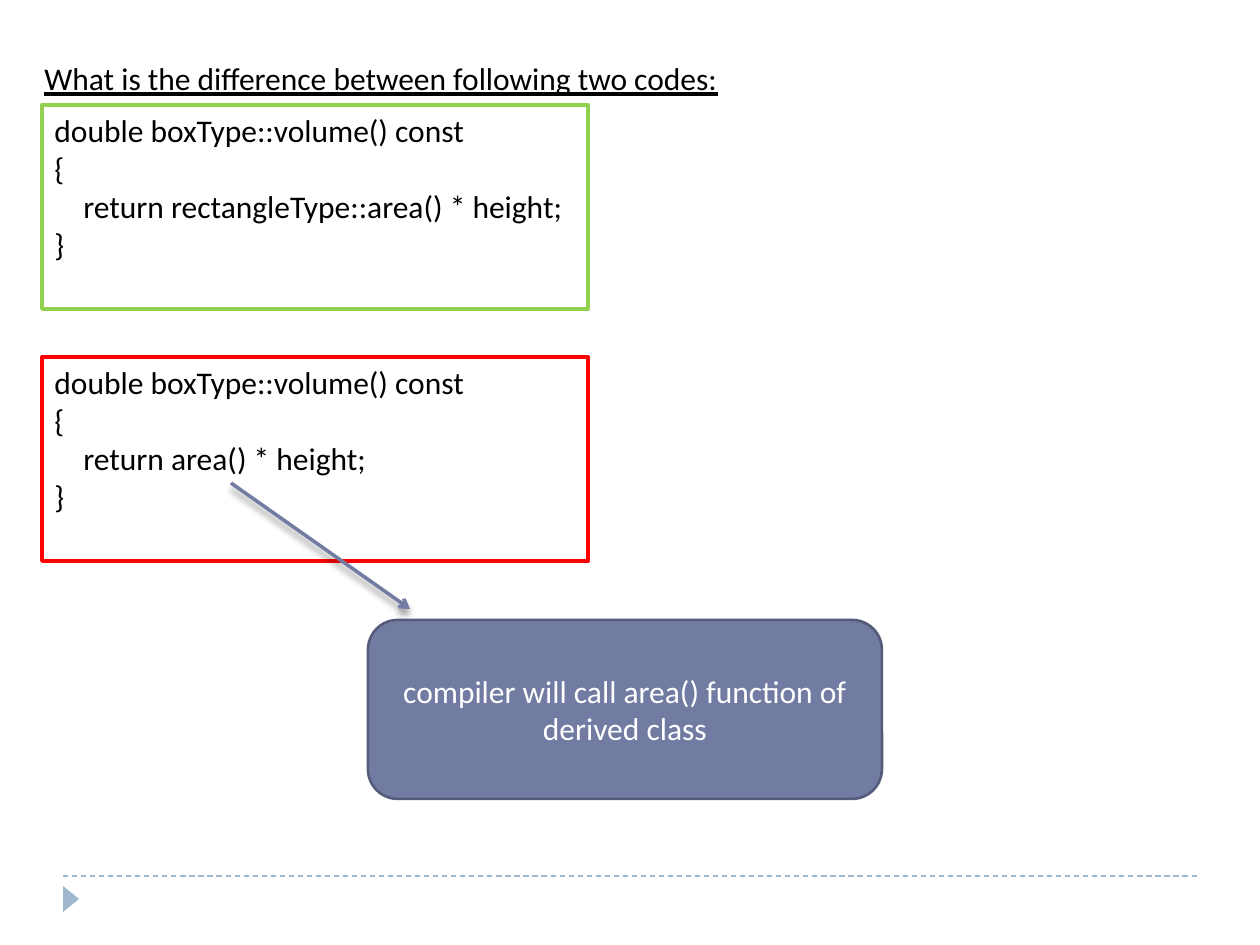
from dataclasses import dataclass

from lxml.etree import SubElement
from pptx import Presentation
from pptx.dml.color import RGBColor
from pptx.enum.dml import MSO_LINE
from pptx.enum.shapes import MSO_CONNECTOR, MSO_SHAPE
from pptx.enum.text import MSO_ANCHOR, PP_ALIGN
from pptx.oxml.ns import qn
from pptx.util import Emu, Pt

INDENT = 29
HEX = {
    "black": "000000",
    "white": "FFFFFF",
    "green": "92D050",
    "red": "FF0000",
    "slate": "727CA3",
    "edge": "545C79",
    "mist": "9FB8CD",
}


@dataclass
class Box:
    left: int
    top: int
    width: int
    height: int


@dataclass
class Code:
    top: int
    line: str
    result: str


CODES = [
    Code(357, "red", "return area() * height;"),
    Code(105, "green", "return rectangleType::area() * height;"),
]


def px(count: int) -> Emu:
    return Emu(round(count * 914400 / 126))


def color(name: str) -> RGBColor:
    return RGBColor.from_string(HEX[name])


def place(box: Box) -> list[Emu]:
    return [px(n) for n in (box.left, box.top, box.width, box.height)]


def add_run(para, text: str, tint: str = "black", under: bool = False) -> None:
    run = para.add_run()
    run.text = text
    font = run.font
    font.name, font.size = "Calibri", Pt(18)
    font.color.rgb = color(tint)
    if under:
        font.underline = True


def add_form(slide, kind, box: Box, fill: str = "", line: str = "",
             weight: float = 0):
    """Add a preset shape; an empty fill or line name means none."""
    form = slide.shapes.add_shape(kind, *place(box))
    form.shadow.inherit = False
    if fill:
        form.fill.solid()
        form.fill.fore_color.rgb = color(fill)
    else:
        form.fill.background()
    if line:
        form.line.color.rgb = color(line)
        form.line.width = Pt(weight)
    else:
        form.line.fill.background()
    form.text_frame.word_wrap = True
    return form


def add_line(slide, start: tuple[int, int], end: tuple[int, int],
             tint: str, weight: float):
    """Add a straight line and return it with its empty effect list."""
    ends = [px(n) for n in (*start, *end)]
    line = slide.shapes.add_connector(MSO_CONNECTOR.STRAIGHT, *ends)
    line.line.color.rgb = color(tint)
    line.line.width = Pt(weight)
    return line, SubElement(line._element.spPr, qn("a:effectLst"))


def add_footer(slide) -> None:
    rule, _ = add_line(slide, (63, 876), (1197, 876), "mist", 0.75)
    rule.line.dash_style = MSO_LINE.DASH
    mark = add_form(slide, MSO_SHAPE.ISOSCELES_TRIANGLE,
                    Box(58, 891, 26, 16), "mist")
    mark.rotation = 90


def add_code(slide, code: Code) -> None:
    form = add_form(slide, MSO_SHAPE.RECTANGLE, Box(42, code.top, 546, 204),
                    line=code.line, weight=2.25)
    frame = form.text_frame
    frame.vertical_anchor = MSO_ANCHOR.TOP
    rows = ["double boxType::volume() const", "{", code.result, "}"]
    for row, text in enumerate(rows):
        para = frame.paragraphs[0] if row == 0 else frame.add_paragraph()
        para.alignment = PP_ALIGN.LEFT
        if text == code.result:
            para._p.get_or_add_pPr().set("marL", str(px(INDENT)))
        add_run(para, text)


def add_title(slide) -> None:
    frame = slide.shapes.add_textbox(*place(Box(32, 53, 1113, 50))).text_frame
    frame.word_wrap = True
    add_run(frame.paragraphs[0],
            "What is the difference between following two codes:", under=True)


def add_arrow(slide) -> None:
    arrow, effect = add_line(slide, (231, 483), (410, 609), "slate", 2)
    SubElement(arrow.line._get_or_add_ln(), qn("a:tailEnd"), type="arrow")
    shade = SubElement(effect, qn("a:outerShdw"), blurRad=str(Pt(4)),
                       dist=str(Pt(3.4)), dir="5400000", rotWithShape="0")
    tint = SubElement(shade, qn("a:srgbClr"), val=HEX["black"])
    SubElement(tint, qn("a:alpha"), val="40000")


def add_note(slide) -> None:
    note = add_form(slide, MSO_SHAPE.FLOWCHART_ALTERNATE_PROCESS,
                    Box(368, 620, 514, 179), "slate", "edge", 1.5)
    note.text_frame.vertical_anchor = MSO_ANCHOR.MIDDLE
    para = note.text_frame.paragraphs[0]
    para.alignment = PP_ALIGN.CENTER
    add_run(para, "compiler will call area() function of derived class",
            "white")


def main() -> None:
    deck = Presentation()
    deck.slide_width, deck.slide_height = px(1260), px(945)
    slide = deck.slides.add_slide(deck.slide_layouts[6])
    add_footer(slide)
    for code in CODES:
        add_code(slide, code)
    add_title(slide)
    add_arrow(slide)
    add_note(slide)
    deck.save("out.pptx")


if __name__ == "__main__":
    main()
